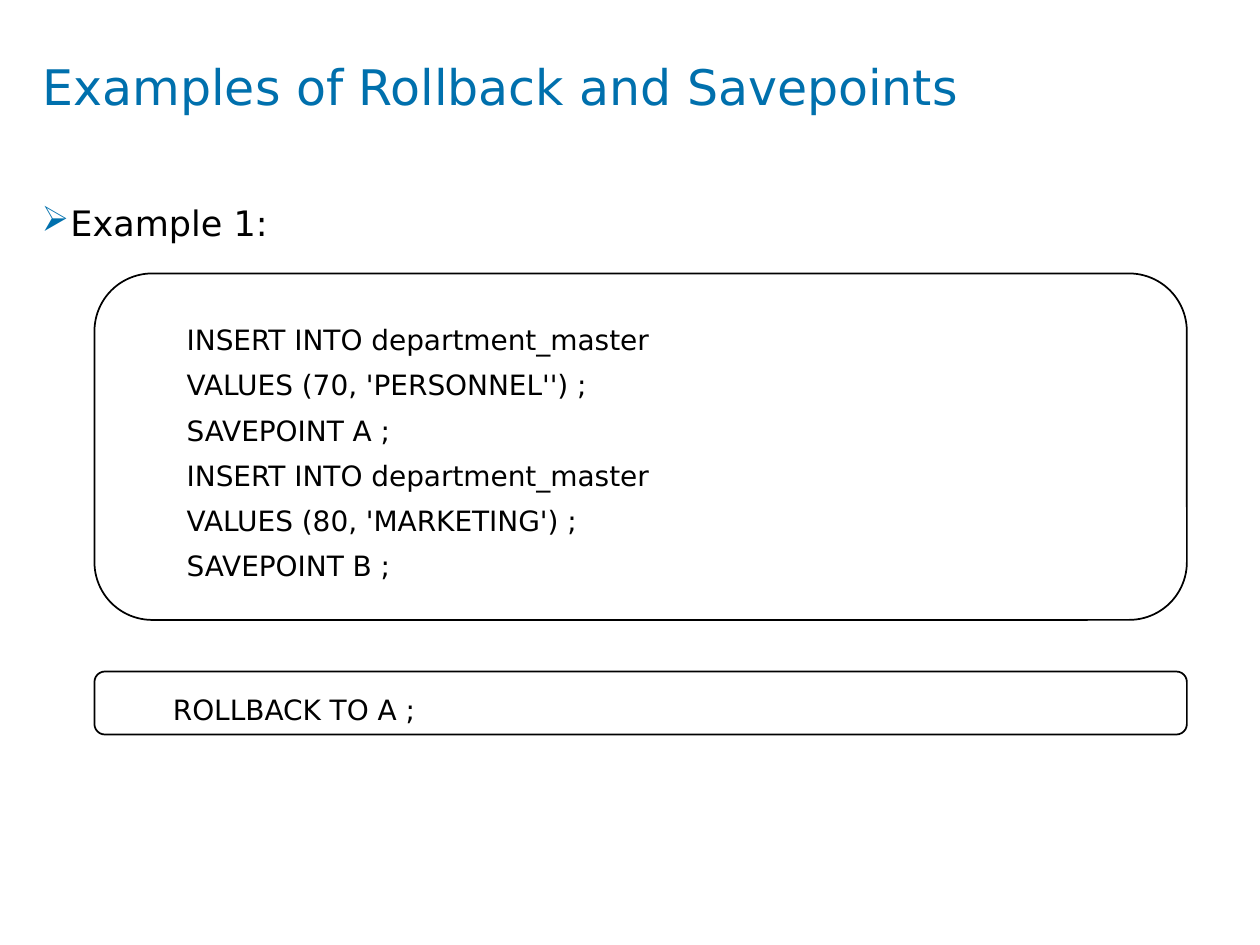
from lxml import etree
from pptx import Presentation, util as u
from pptx.dml.color import RGBColor
from pptx.enum import shapes, text
from pptx.oxml.ns import qn

# Content
TITLE = "Examples of Rollback and Savepoints"
EXAMPLE = "Example 1:"
STATEMENT_BOXES = [  # top, height, lines
    (2.17, 2.75, [
        "INSERT INTO department_master",
        "VALUES (70, 'PERSONNEL'') ;",
        "SAVEPOINT A ;",
        "INSERT INTO department_master",
        "VALUES (80, 'MARKETING') ;",
        "SAVEPOINT B ;",
    ]),
    (5.33, 0.5, ["ROLLBACK TO A ;"]),
]
BOX_LEFT, BOX_WIDTH = 0.75, 8.67


class Theme:
    font = "DejaVu Sans"
    accent, ink, paper = (RGBColor.from_string(c) for c in ("0070AD", "000000", "FFFFFF"))
    title_size, body_size, code_size = 28, 20, 16


def add_run(paragraph, words, size, color):
    run = paragraph.add_run()
    run.text = words
    run.font.name = Theme.font
    run.font.size = u.Pt(size)
    run.font.color.rgb = color


def indent(paragraph, left, first=0.0):
    properties = paragraph._p.get_or_add_pPr()
    properties.set("marL", str(u.Inches(left)))
    properties.set("indent", str(u.Inches(first)))
    return properties


def add_text(slide, left, top, width, height):
    frame = slide.shapes.add_textbox(*map(u.Inches, (left, top, width, height))).text_frame
    frame.word_wrap = True
    frame.margin_left = frame.margin_top = frame.margin_right = frame.margin_bottom = 0
    return frame.paragraphs[0]


def add_statement_box(slide, top, height, lines):
    shape = slide.shapes.add_shape(
        shapes.MSO_SHAPE.ROUNDED_RECTANGLE,
        *map(u.Inches, (BOX_LEFT, top, BOX_WIDTH, height)))
    shape.shadow.inherit = False
    shape.fill.solid()
    shape.fill.fore_color.rgb = Theme.paper
    shape.line.color.rgb = Theme.ink
    shape.line.width = u.Pt(1)
    frame = shape.text_frame
    frame.word_wrap = True
    frame.vertical_anchor = text.MSO_ANCHOR.MIDDLE
    for index, line in enumerate(lines):
        paragraph = frame.add_paragraph() if index else frame.paragraphs[0]
        indent(paragraph, 0.5)
        paragraph.alignment = text.PP_ALIGN.LEFT
        paragraph.line_spacing = 1.35
        add_run(paragraph, line, Theme.code_size, Theme.ink)


presentation = Presentation()
presentation.slide_width, presentation.slide_height = u.Inches(10), u.Inches(7.5)
slide = presentation.slides.add_slide(presentation.slide_layouts[6])

# Title
add_run(add_text(slide, 0.34, 0.45, 9.33, 0.94), TITLE, Theme.title_size, Theme.accent)

# Bulleted example heading
heading = add_text(slide, 0.33, 1.64, 9.34, 5.08)
heading.alignment = text.PP_ALIGN.JUSTIFY
heading.line_spacing = 0.9
properties = indent(heading, 0.23, -0.23)
bullet_color = etree.SubElement(properties, qn("a:buClr"))
etree.SubElement(bullet_color, qn("a:srgbClr"), val=str(Theme.accent))
etree.SubElement(properties, qn("a:buChar"), char="➢")
add_run(heading, EXAMPLE, Theme.body_size, Theme.ink)

# SQL statement boxes
for top, height, lines in STATEMENT_BOXES:
    add_statement_box(slide, top, height, lines)

presentation.save("out.pptx")
